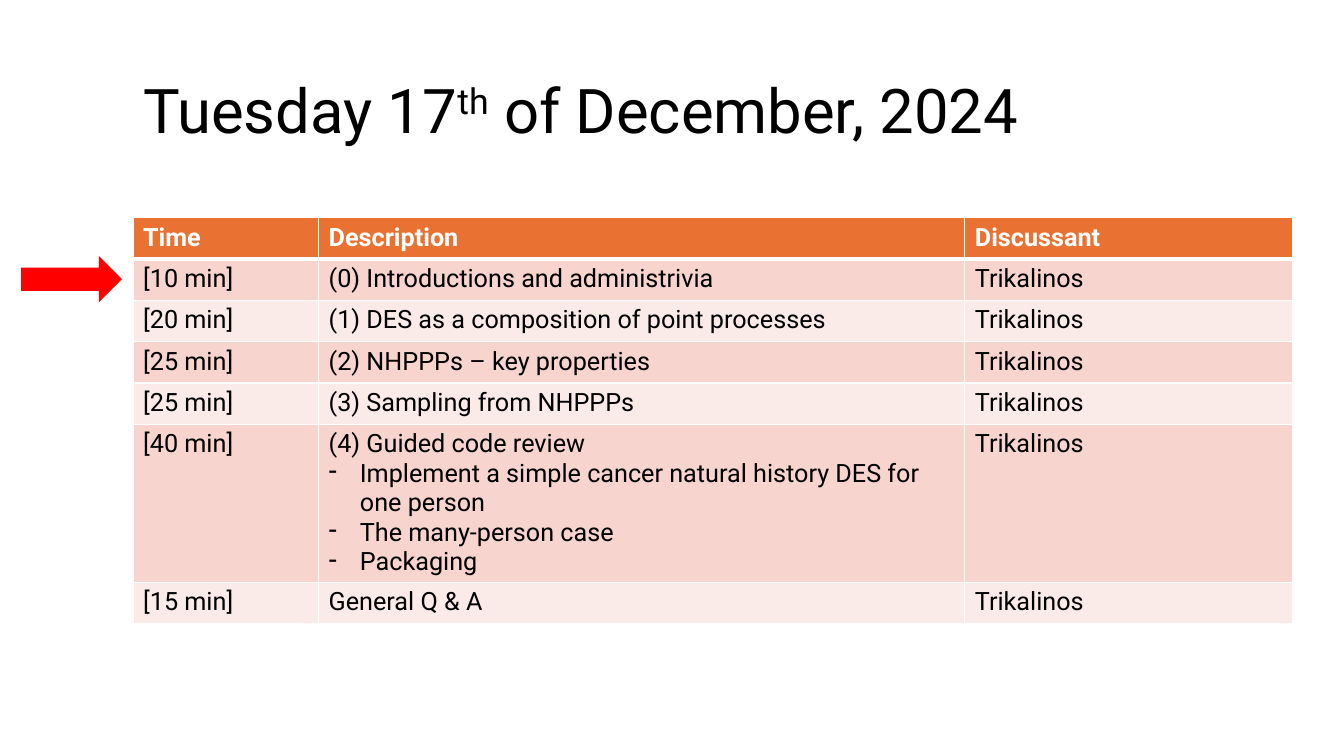
from dataclasses import dataclass

from lxml import etree
from pptx import Presentation
from pptx.dml.color import RGBColor
from pptx.enum.shapes import MSO_SHAPE
from pptx.enum.text import MSO_ANCHOR, MSO_AUTO_SIZE, PP_ALIGN
from pptx.oxml.ns import qn
from pptx.slide import Slide
from pptx.table import _Cell
from pptx.text.text import _Paragraph
from pptx.util import Emu, Pt

ARROW = MSO_SHAPE.RIGHT_ARROW
LEFT = PP_ALIGN.LEFT
MIDDLE = MSO_ANCHOR.MIDDLE
NO_AUTOFIT = MSO_AUTO_SIZE.NONE
PX = 9144  # EMU, 100 px to the inch


@dataclass(frozen=True)
class Theme:
    font: str = "Roboto"
    title_size: int = 44
    table_size: int = 18
    text: str = "000000"
    white: str = "FFFFFF"
    header: str = "E97132"
    bands: tuple[str, str] = ("F7D5CE", "FBEBE8")
    arrow: str = "FF0000"


@dataclass(frozen=True)
class Session:
    minutes: int
    description: str
    steps: tuple[str, ...] = ()
    discussant: str = "Trikalinos"


THEME = Theme()
HEADINGS = ("Time", "Description", "Discussant")
SESSIONS = (
    Session(10, "(0) Introductions and administrivia"),
    Session(20, "(1) DES as a composition of point processes"),
    Session(25, "(2) NHPPPs – key properties"),
    Session(25, "(3) Sampling from NHPPPs"),
    Session(40, "(4) Guided code review", (
        "Implement a simple cancer natural history DES for one person",
        "The many-person case",
        "Packaging",
    )),
    Session(15, "General Q & A"),
)
TABLE_LEFT, TABLE_TOP = 132, 216
COLUMN_WIDTHS = (184, 641, 325)
ROW_HEIGHT, TALL_ROW_HEIGHT = 41, 157
BULLET_INDENT = 31


def px(n: int) -> Emu:
    return Emu(n * PX)


def set_font(p: _Paragraph, size: int, color: str, bold: bool = False) -> None:
    p.font.name = THEME.font
    p.font.size = Pt(size)
    p.font.bold = bold
    p.font.color.rgb = RGBColor.from_string(color)


def add_title(s: Slide) -> None:
    sp = s.shapes.title
    sp.left, sp.top, sp.width, sp.height = map(px, (132, 40, 1109, 145))
    tf = sp.text_frame
    tf.vertical_anchor = MIDDLE
    tf.auto_size = NO_AUTOFIT
    p = tf.paragraphs[0]
    p.alignment = LEFT
    p.line_spacing = 0.9
    set_font(p, THEME.title_size, THEME.text)
    for text, baseline in (("Tuesday 17", 0), ("th", 30000), (" of December, 2024", 0)):
        r = p.add_run()
        r.text = text
        if baseline:
            r.font.size = Pt(THEME.title_size)
            r._r.get_or_add_rPr().set("baseline", str(baseline))


def add_dash(p: _Paragraph) -> None:
    """Give a paragraph a hanging dash bullet."""
    pPr = p._p.get_or_add_pPr()
    pPr.set("marL", str(px(BULLET_INDENT)))
    pPr.set("indent", str(-px(BULLET_INDENT)))
    bullet = etree.Element(qn("a:buChar"), char="-")
    pPr.insert(0, bullet)


def set_borders(cell: _Cell, bottom: int) -> None:
    tcPr = cell._tc.get_or_add_tcPr()
    for i, (side, width) in enumerate((("L", 1), ("R", 1), ("T", 1), ("B", bottom))):
        ln = etree.Element(qn(f"a:ln{side}"), w=str(Pt(width)))
        fill = etree.SubElement(ln, qn("a:solidFill"))
        etree.SubElement(fill, qn("a:srgbClr"), val=THEME.white)
        tcPr.insert(i, ln)


def fill_cell(cell: _Cell, lines: tuple[str, ...], fill: str, is_header: bool) -> None:
    cell.fill.solid()
    cell.fill.fore_color.rgb = RGBColor.from_string(fill)
    set_borders(cell, 3 if is_header else 1)
    tf = cell.text_frame
    tf.text = "\n".join(lines)
    for i, p in enumerate(tf.paragraphs):
        set_font(p, THEME.table_size, THEME.white if is_header else THEME.text, is_header)
        if i:
            add_dash(p)


def add_agenda(s: Slide) -> None:
    heights = [ROW_HEIGHT] + [TALL_ROW_HEIGHT if x.steps else ROW_HEIGHT for x in SESSIONS]
    frame = s.shapes.add_table(
        len(heights), len(HEADINGS), px(TABLE_LEFT), px(TABLE_TOP),
        px(sum(COLUMN_WIDTHS)), px(sum(heights)))
    table = frame.table
    for column, width in zip(table.columns, COLUMN_WIDTHS):
        column.width = px(width)
    for row, height in zip(table.rows, heights):
        row.height = px(height)
    for c, heading in enumerate(HEADINGS):
        fill_cell(table.cell(0, c), (heading,), THEME.header, True)
    for i, x in enumerate(SESSIONS):
        columns = ((f"[{x.minutes} min]",), (x.description, *x.steps), (x.discussant,))
        for c, lines in enumerate(columns):
            fill_cell(table.cell(i + 1, c), lines, THEME.bands[i % 2], False)


def add_current_arrow(s: Slide) -> None:
    sp = s.shapes.add_shape(ARROW, px(21), px(254), px(100), px(46))
    sp.shadow.inherit = False
    sp.fill.solid()
    sp.fill.fore_color.rgb = RGBColor.from_string(THEME.arrow)
    sp.line.fill.background()


def main() -> None:
    prs = Presentation()
    prs.slide_width, prs.slide_height = px(1333), px(750)
    s = prs.slides.add_slide(prs.slide_layouts[5])
    add_title(s)
    add_agenda(s)
    add_current_arrow(s)
    prs.save("out.pptx")


if __name__ == "__main__":
    main()
